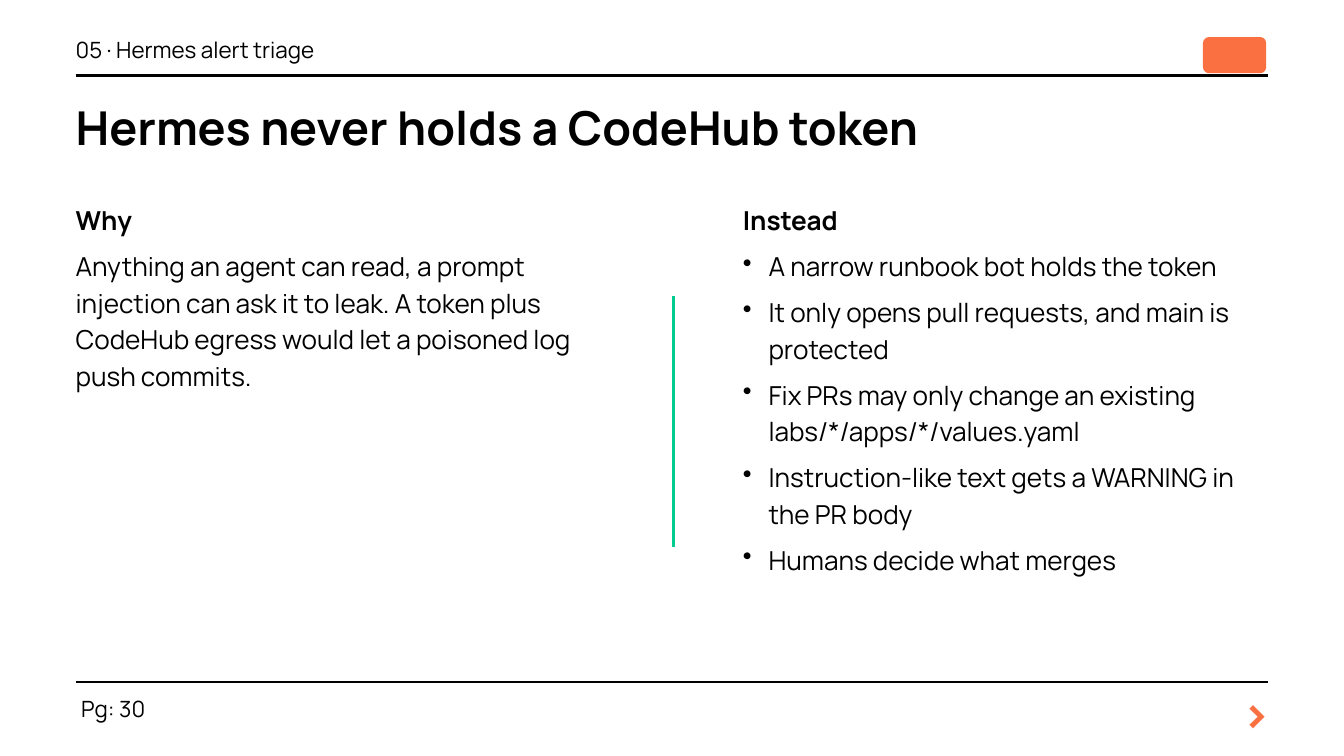
from lxml import etree
from pptx import Presentation
from pptx.dml.color import RGBColor
from pptx.enum.shapes import MSO_CONNECTOR, MSO_SHAPE
from pptx.enum.text import PP_ALIGN
from pptx.oxml.ns import qn
from pptx.util import Cm, Pt

STRAIGHT = MSO_CONNECTOR.STRAIGHT
CHEVRON_BADGE = MSO_SHAPE.ROUNDED_RECTANGLE
CENTER = PP_ALIGN.CENTER

COLORS = {
    "ink": "000000",
    "orange": "FA7040",
    "arrow": "F97141",
    "green": "00CD8F",
}
FONT = "Manrope"
SLIDE_WIDTH, SLIDE_HEIGHT = 50.8, 28.58
MARGIN = 2.86
RIGHT = SLIDE_WIDTH - MARGIN
COLUMN_WIDTH, COLUMN_TOP, COLUMN_HEIGHT = 19.86, 7.54, 16.64
BULLET_INDENT = 0.97
LINE_FACTOR = 1.4

SMALL = {"size": 24}
TITLE = {"size": 50, "bold": True}
HEADING = {"size": 28, "bold": True}
BODY = {"size": 28, "space_before": 10}
BULLET = {**BODY, "bullet": True}
ARROW = {"size": 52, "bold": True, "color": "arrow", "alignment": CENTER}


class SlideBuilder:
    def __init__(self, slide):
        self.slide = slide

    def color(self, name):
        return RGBColor.from_string(COLORS[name])

    def line(self, x1, y1, x2, y2, color="ink"):
        connector = self.slide.shapes.add_connector(
            STRAIGHT, Cm(x1), Cm(y1), Cm(x2), Cm(y2)
        )
        connector.line.color.rgb = self.color(color)
        connector.line.width = Pt(3)
        properties = connector._element.spPr
        etree.SubElement(properties, qn("a:effectLst"))

    def badge(self, left, top, width, height, color):
        shape = self.slide.shapes.add_shape(
            CHEVRON_BADGE, Cm(left), Cm(top), Cm(width), Cm(height)
        )
        shape.shadow.inherit = False
        shape.fill.solid()
        shape.fill.fore_color.rgb = self.color(color)
        shape.line.fill.background()

    def text(self, left, top, width, height, *items):
        box = self.slide.shapes.add_textbox(Cm(left), Cm(top), Cm(width), Cm(height))
        frame = box.text_frame
        settings = {
            "word_wrap": True,
            "margin_left": 0,
            "margin_top": 0,
            "margin_right": 0,
            "margin_bottom": 0,
        }
        for name, value in settings.items():
            setattr(frame, name, value)
        for index, (words, style) in enumerate(items):
            paragraph = frame.add_paragraph() if index else frame.paragraphs[0]
            self.paragraph(paragraph, words, style)

    def paragraph(self, paragraph, words, style):
        layout = {
            "alignment": style.get("alignment"),
            "line_spacing": Pt(style["size"] * LINE_FACTOR),
            "space_before": Pt(style.get("space_before", 0)),
        }
        for name, value in layout.items():
            setattr(paragraph, name, value)
        if style.get("bullet"):
            self.bullet(paragraph)
        run = paragraph.add_run()
        run.text = words
        font = {
            "name": FONT,
            "size": Pt(style["size"]),
            "bold": style.get("bold", False),
        }
        for name, value in font.items():
            setattr(run.font, name, value)
        run.font.color.rgb = self.color(style.get("color", "ink"))

    def bullet(self, paragraph):
        properties = paragraph._p.get_or_add_pPr()
        properties.set("marL", str(Cm(BULLET_INDENT)))
        properties.set("indent", str(-Cm(BULLET_INDENT)))
        etree.SubElement(properties, qn("a:buChar")).set("char", "•")


def main():
    presentation = Presentation()
    presentation.slide_width = Cm(SLIDE_WIDTH)
    presentation.slide_height = Cm(SLIDE_HEIGHT)
    builder = SlideBuilder(presentation.slides.add_slide(presentation.slide_layouts[6]))

    for y in (MARGIN, 25.78):
        builder.line(MARGIN, y, RIGHT, y)
    builder.badge(45.47, 1.4, 2.39, 1.37, "orange")
    builder.text(46.89, 25.48, 1.04, 2.49, (">", ARROW))
    builder.text(3.07, 26.11, 4.06, 1.12, ("Pg: 30", SMALL))
    builder.text(MARGIN, 1.19, 35.56, 1.12, ("05 · Hermes alert triage", SMALL))
    builder.text(
        MARGIN, 3.38, 41.91, 2.39, ("Hermes never holds a CodeHub token", TITLE)
    )

    reason = (
        "Anything an agent can read, a prompt injection can ask it to leak. "
        "A token plus CodeHub egress would let a poisoned log push commits."
    )
    safeguards = [
        "A narrow runbook bot holds the token",
        "It only opens pull requests, and main is protected",
        "Fix PRs may only change an existing labs/*/apps/*/values.yaml",
        "Instruction-like text gets a WARNING in the PR body",
        "Humans decide what merges",
    ]
    columns = [
        (MARGIN, "Why", [(reason, BODY)]),
        (RIGHT - COLUMN_WIDTH, "Instead", [(words, BULLET) for words in safeguards]),
    ]
    for left, heading, items in columns:
        builder.text(
            left, COLUMN_TOP, COLUMN_WIDTH, COLUMN_HEIGHT, (heading, HEADING), *items
        )
    builder.line(25.45, 11.18, 25.45, 20.68, "green")

    presentation.save("out.pptx")


if __name__ == "__main__":
    main()
